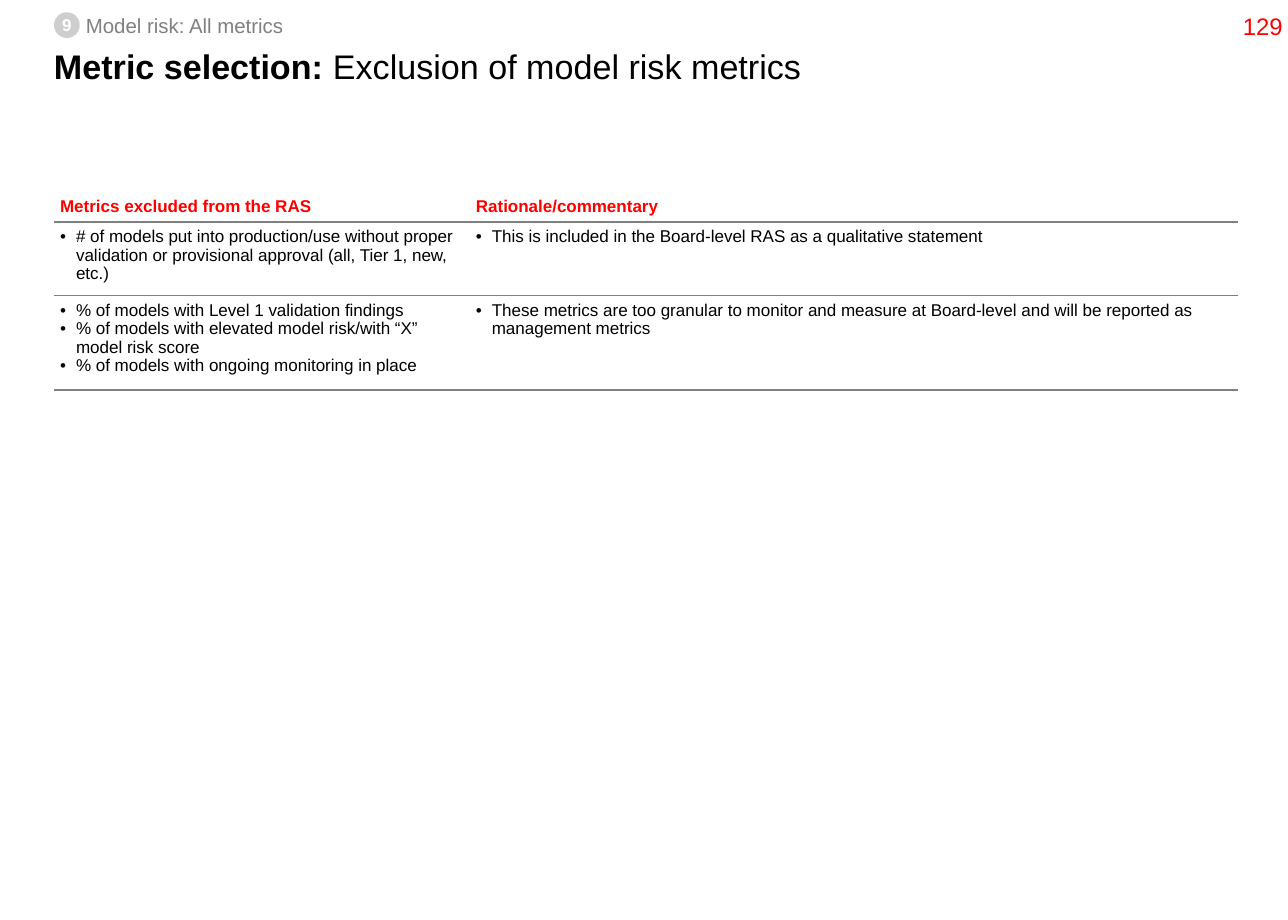
import pptx
import pptx.util
import pptx.dml.color
import pptx.enum.shapes
import pptx.enum.text
from lxml import etree
from pptx.oxml.ns import qn

Inches = pptx.util.Inches
ANCHOR = pptx.enum.text.MSO_ANCHOR
CENTER = pptx.enum.text.PP_ALIGN.CENTER
COLORS = {"black": "000000", "grey": "808080", "badge": "CECECE", "white": "FFFFFF", "red": "FF0000"}


def add_run(p, text, size, color, bold=False):
    r = p.add_run()
    r.text = text
    r.font.name = "Arial"
    r.font.size = pptx.util.Pt(size)
    r.font.bold = bold
    r.font.color.rgb = pptx.dml.color.RGBColor.from_string(COLORS[color])


def set_frame(tf, wrap, anchor):
    tf.margin_left = tf.margin_right = tf.margin_top = tf.margin_bottom = 0
    tf.word_wrap = wrap
    tf.vertical_anchor = anchor
    return tf.paragraphs[0]


prs = pptx.Presentation()
prs.slide_width = Inches(10.5)
prs.slide_height = Inches(7.5)
s = prs.slides.add_slide(prs.slide_layouts[5])

title = s.shapes.title
title.left, title.top, title.width, title.height = Inches(0.44), Inches(0.42), Inches(9.63), Inches(0.8)
p = set_frame(title.text_frame, True, ANCHOR.TOP)
title.text_frame.auto_size = pptx.enum.text.MSO_AUTO_SIZE.NONE
p.alignment = pptx.enum.text.PP_ALIGN.LEFT
p.line_spacing = 0.86
add_run(p, "Metric selection: ", 20, "black", True)
add_run(p, "Exclusion of model risk metrics", 20, "black")

section = s.shapes.add_textbox(Inches(0.7), Inches(0.11), Inches(1.62), Inches(0.2))
p = set_frame(section.text_frame, False, ANCHOR.TOP)
add_run(p, "Model risk: All metrics", 12, "grey")

badge = s.shapes.add_shape(pptx.enum.shapes.MSO_SHAPE.OVAL, Inches(0.44), Inches(0.1), Inches(0.21), Inches(0.21))
badge.shadow.inherit = False
badge.fill.solid()
badge.fill.fore_color.rgb = pptx.dml.color.RGBColor.from_string(COLORS["badge"])
badge.line.fill.background()
p = set_frame(badge.text_frame, False, ANCHOR.MIDDLE)
p.alignment = CENTER
add_run(p, "9", 10, "white", True)

rows = [
    (["Metrics excluded from the RAS"], ["Rationale/commentary"]),
    (["# of models put into production/use without proper validation or provisional approval (all, Tier 1, new, etc.)"],
     ["This is included in the Board-level RAS as a qualitative statement"]),
    (["% of models with Level 1 validation findings",
      "% of models with elevated model risk/with “X” model risk score",
      "% of models with ongoing monitoring in place"],
     ["These metrics are too granular to monitor and measure at Board-level and will be reported as management metrics"]),
]
table = s.shapes.add_table(3, 2, Inches(0.44), Inches(1.54), Inches(9.65), Inches(1.64)).table
table.first_row = table.horz_banding = False
for col, width in zip(table.columns, (3.39, 6.26)):
    col.width = Inches(width)
for row, height in zip(table.rows, (0.27, 0.6, 0.77)):
    row.height = Inches(height)

for i, row in enumerate(rows):
    for j, lines in enumerate(row):
        cell = table.cell(i, j)
        cell.margin_left = cell.margin_right = cell.margin_top = cell.margin_bottom = Inches(0.05)
        cell.vertical_anchor = ANCHOR.TOP if i else ANCHOR.BOTTOM
        tcPr = cell._tc.get_or_add_tcPr()
        for side in ("lnL", "lnR", "lnT", "lnB"):
            ln = etree.SubElement(tcPr, qn("a:" + side), w="9525")
            if side == "lnB" or (side == "lnT" and i):
                fill = etree.SubElement(ln, qn("a:solidFill"))
                etree.SubElement(fill, qn("a:srgbClr"), val=COLORS["grey"])
            else:
                etree.SubElement(ln, qn("a:noFill"))
        if i:
            cell.fill.solid()
            cell.fill.fore_color.rgb = pptx.dml.color.RGBColor.from_string(COLORS["white"])
        else:
            cell.fill.background()
        tf = cell.text_frame
        for k, text in enumerate(lines):
            p = tf.add_paragraph() if k else tf.paragraphs[0]
            p.line_spacing = 0.97 if i else 0.86
            if i:
                pPr = p._p.get_or_add_pPr()
                pPr.set("marL", str(Inches(0.13)))
                pPr.set("indent", str(-Inches(0.13)))
                color = etree.SubElement(pPr, qn("a:buClr"))
                etree.SubElement(color, qn("a:srgbClr"), val=COLORS["black"])
                etree.SubElement(pPr, qn("a:buFont"), typeface="Arial")
                etree.SubElement(pPr, qn("a:buChar"), char="•")
            add_run(p, text, 10, "black" if i else "red", not i)

number = s.shapes.add_textbox(Inches(10.09), 0, Inches(0.41), Inches(0.42))
p = set_frame(number.text_frame, False, ANCHOR.MIDDLE)
p.alignment = CENTER
add_run(p, "129", 14, "red")

prs.save("out.pptx")
